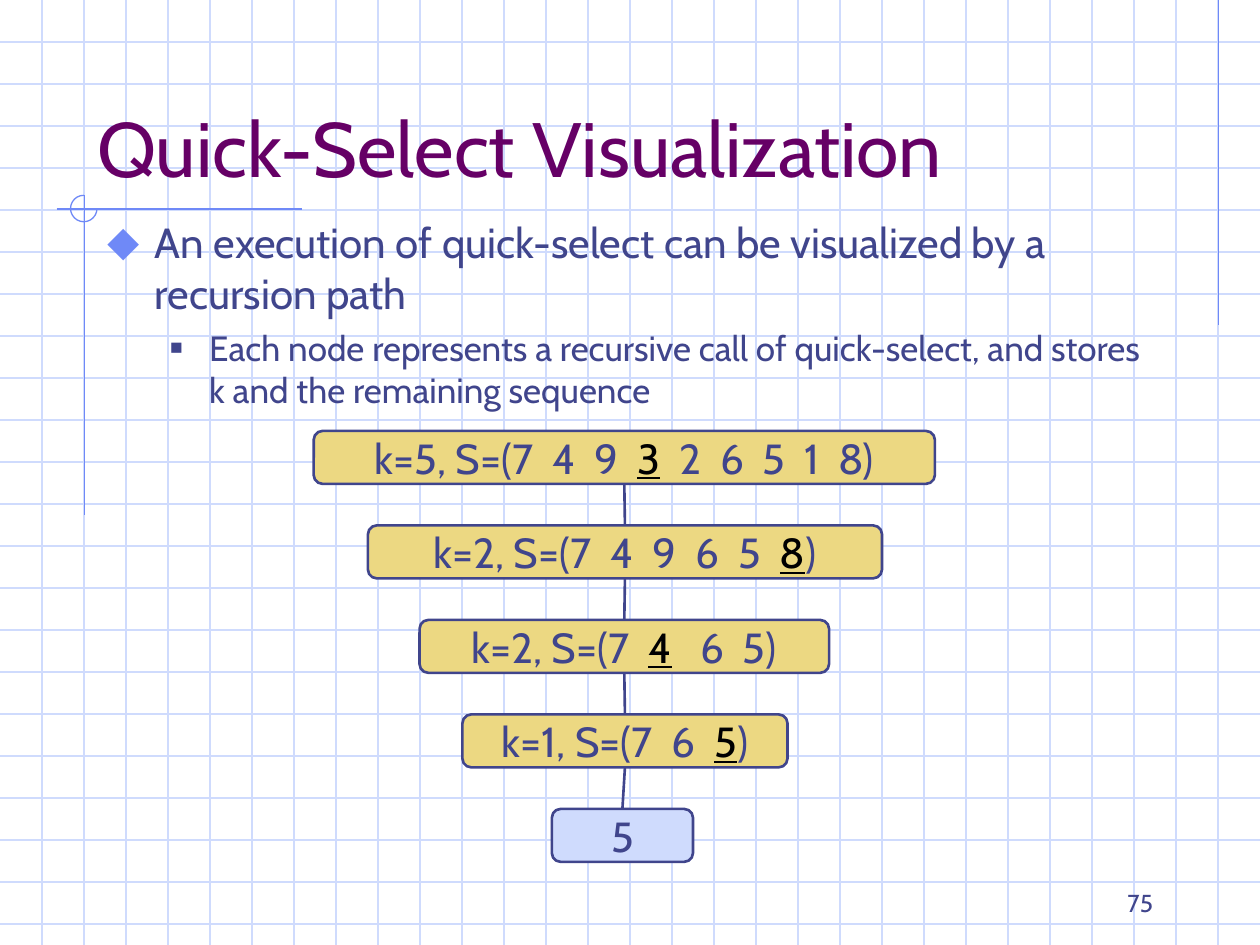
from typing import NamedTuple

from lxml import etree
from pptx import Presentation
from pptx.dml.color import RGBColor
from pptx.enum.shapes import MSO_CONNECTOR, MSO_SHAPE
from pptx.enum.text import MSO_ANCHOR, MSO_AUTO_SIZE, PP_ALIGN
from pptx.oxml.ns import qn
from pptx.util import Inches, Pt

STRAIGHT = MSO_CONNECTOR.STRAIGHT
ROUNDED, ARC = MSO_SHAPE.ROUNDED_RECTANGLE, MSO_SHAPE.ARC
TOP, MIDDLE, BOTTOM = MSO_ANCHOR.TOP, MSO_ANCHOR.MIDDLE, MSO_ANCHOR.BOTTOM
LEFT, CENTER, RIGHT = PP_ALIGN.LEFT, PP_ALIGN.CENTER, PP_ALIGN.RIGHT
NO_FIT = MSO_AUTO_SIZE.NONE

FONT = "Cabin"
COLORS = {
    "grid": "CFDBFD", "accent": "6F89F7", "title": "660066", "ink": "40458C",
    "pivot": "000000", "call": "ECD882", "result": "CFDBFD",
}
WIDTH, HEIGHT = 10, 7.5
NODE_TOP, NODE_STEP, NODE_HEIGHT = 3.42, 0.75, 0.42


class Line(NamedTuple):
    x1: float
    y1: float
    x2: float
    y2: float


class Node(NamedTuple):
    """A recursive call; the pivot is underlined."""
    left: float
    width: float
    before: str
    pivot: str = ""
    after: str = ""
    fill: str = "call"


class Bullet(NamedTuple):
    text: str
    size: int
    level: int
    margin: float
    indent: float
    space: int
    mark: str
    color: str
    percent: int


ORNAMENT = [
    Line(9.67, 0, 9.67, 2.58),
    Line(0.45, 1.66, 2.4, 1.66),
    Line(0.67, 1.55, 0.67, 4.09),
]
NODES = [
    Node(2.49, 4.93, "k=5, S=(7  4  9  ", "3", "  2  6  5  1  8)"),
    Node(2.92, 4.08, "k=2, S=(7  4  9  6  5  ", "8", ")"),
    Node(3.33, 3.25, "k=2, S=(7  ", "4", "   6  5)"),
    Node(3.67, 2.58, "k=1, S=(7  6  ", "5", ")"),
    Node(4.38, 1.12, "5", fill="result"),
]
BULLETS = [
    Bullet("An execution of quick-select can be visualized by a recursion path",
           24, 0, 0.38, -0.38, 0, "⬥", "accent", 110),
    Bullet("Each node represents a recursive call of quick-select, and stores "
           "k and the remaining sequence",
           20, 1, 0.81, -0.31, 5, "■", "ink", 60),
]


def rgb(name: str) -> RGBColor:
    return RGBColor.from_string(COLORS[name])


def set_all(obj, values: dict) -> None:
    for name, value in values.items():
        setattr(obj, name, value)


def add_run(p, text: str, size: int, color: str = "ink", underline=None) -> None:
    r = p.add_run()
    r.text = text
    set_all(r.font, {"name": FONT, "size": Pt(size), "underline": underline})
    r.font.color.rgb = rgb(color)


def add_line(shapes, line: Line, color: str, width: float = 0.75):
    cxn = shapes.add_connector(STRAIGHT, *(Inches(v) for v in line))
    cxn.line.color.rgb = rgb(color)
    cxn.line.width = Pt(width)
    etree.SubElement(cxn._element.spPr, qn("a:effectLst"))
    return cxn


def add_background(shapes) -> None:
    for i in range(1, 23):
        add_line(shapes, Line(0, i / 3, WIDTH, i / 3), "grid")
    for i in range(1, 30):
        add_line(shapes, Line(i / 3, 0, i / 3, HEIGHT), "grid")
    for line in ORNAMENT:
        add_line(shapes, line, "accent")
    arc = shapes.add_shape(ARC, Inches(0.56), Inches(1.55), Inches(0.21), Inches(0.21))
    arc.adjustments[0], arc.adjustments[1] = 0, 162  # 0 to 270 degrees
    arc.shadow.inherit = False
    arc.fill.background()
    arc.line.color.rgb = rgb("accent")
    arc.line.width = Pt(0.75)


def place(sp, left: float, top: float, width: float, height: float, anchor):
    """Move a text shape and return its text frame."""
    set_all(sp, {"left": Inches(left), "top": Inches(top),
                 "width": Inches(width), "height": Inches(height)})
    tf = sp.text_frame
    set_all(tf, {"word_wrap": True, "auto_size": NO_FIT, "vertical_anchor": anchor})
    return tf


def add_bullet(p, bullet: Bullet) -> None:
    p.level = bullet.level
    pPr = p._p.get_or_add_pPr()
    pPr.set("marL", str(Inches(bullet.margin)))
    pPr.set("indent", str(Inches(bullet.indent)))
    clr = etree.SubElement(pPr, qn("a:buClr"))
    etree.SubElement(clr, qn("a:srgbClr"), val=COLORS[bullet.color])
    etree.SubElement(pPr, qn("a:buSzPct"), val=str(bullet.percent * 1000))
    etree.SubElement(pPr, qn("a:buChar"), char=bullet.mark)
    p.space_before = Pt(bullet.space)
    add_run(p, bullet.text, bullet.size)


def add_node(shapes, node: Node, top: float):
    sp = shapes.add_shape(ROUNDED, Inches(node.left), Inches(top),
                          Inches(node.width), Inches(NODE_HEIGHT))
    sp.shadow.inherit = False
    sp.fill.solid()
    sp.fill.fore_color.rgb = rgb(node.fill)
    sp.line.color.rgb = rgb("ink")
    sp.line.width = Pt(1.5)
    set_all(sp.text_frame, {"word_wrap": False, "vertical_anchor": MIDDLE})
    p = sp.text_frame.paragraphs[0]
    p.alignment = CENTER
    add_run(p, node.before, 24)
    if node.pivot:
        add_run(p, node.pivot, 24, "pivot", True)
        add_run(p, node.after, 24)
    return sp


def main() -> None:
    prs = Presentation()
    prs.slide_width, prs.slide_height = Inches(WIDTH), Inches(HEIGHT)
    s = prs.slides.add_slide(prs.slide_layouts[1])
    shapes = s.shapes
    title, body = shapes.title, s.placeholders[1]

    add_background(shapes)
    for sp in (title, body):  # bring the text in front of the grid
        shapes._spTree.append(sp._element)

    p = place(title, 0.67, 0.33, 8.5, 1.25, BOTTOM).paragraphs[0]
    p.alignment = LEFT
    add_run(p, "Quick-Select Visualization", 44, "title")

    tf = place(body, 0.75, 1.67, 8.58, 2.17, TOP)
    for i, bullet in enumerate(BULLETS):
        add_bullet(tf.add_paragraph() if i else tf.paragraphs[0], bullet)

    boxes = [add_node(shapes, node, NODE_TOP + i * NODE_STEP)
             for i, node in enumerate(NODES)]
    for upper, lower in zip(boxes, boxes[1:]):
        cxn = add_line(shapes, Line(0, 0, 0, 0), "ink", 1.5)
        cxn.begin_connect(upper, 2)
        cxn.end_connect(lower, 0)

    number = shapes.add_textbox(0, 0, 0, 0)
    p = place(number, 7.17, 6.83, 2.08, 0.5, BOTTOM).paragraphs[0]
    p.alignment = RIGHT
    add_run(p, "75", 14)

    prs.save("out.pptx")


if __name__ == "__main__":
    main()
